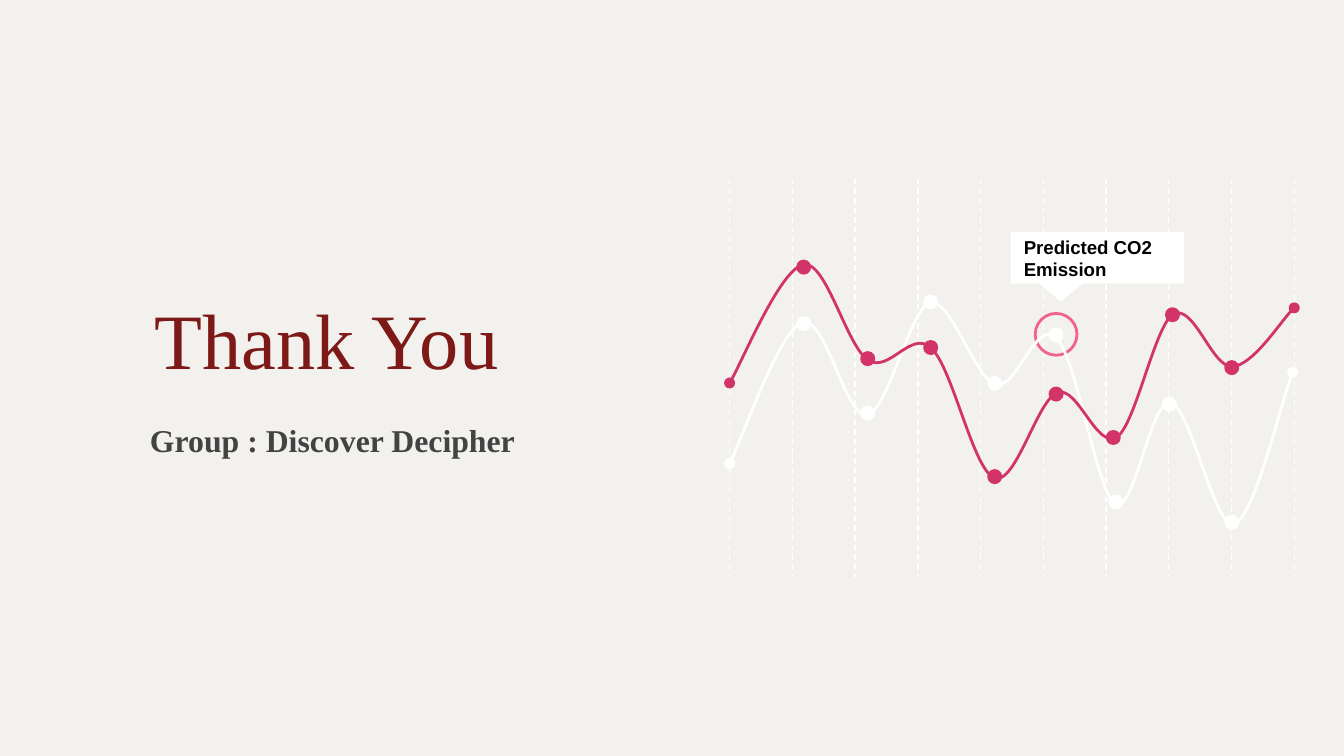
from dataclasses import dataclass

from lxml import etree
from pptx import Presentation
from pptx.dml.color import RGBColor
from pptx.enum import dml, shapes, text
from pptx.oxml import ns
from pptx.util import Cm, Pt


@dataclass(frozen=True)
class Theme:
    background: str = "F2F1EE"
    title: str = "7D1916"
    subtitle: str = "434343"
    white: str = "FFFFFF"
    black: str = "000000"
    red: str = "D23369"
    ring: str = "F06292"
    serif: str = "Times New Roman"
    sans: str = "Arial"
    title_size: int = 42
    subtitle_size: int = 17
    label_size: int = 10
    curve_width: float = 1.5
    grid_width: float = 0.75


THEME = Theme()
DOT = 0.23
GRID_LEFT, GRID_RIGHT, GRID_TOP, GRID_BOTTOM = 13.79, 24.46, 3.38, 10.9
GRID_COUNT = 10

# Curves are in cm: a start point, then two control points and an end per segment.
WHITE_CURVE = [
    (13.79, 8.76),
    (14.02, 8.33), (14.73, 6.25), (15.16, 6.1),
    (15.6, 5.94), (15.98, 7.9), (16.38, 7.85),
    (16.79, 7.77), (17.2, 5.82), (17.58, 5.72),
    (17.98, 5.64), (18.42, 7.16), (18.82, 7.26),
    (19.2, 7.39), (19.58, 6.02), (19.96, 6.38),
    (20.35, 6.76), (20.73, 9.32), (21.08, 9.53),
    (21.44, 9.73), (21.74, 7.54), (22.12, 7.62),
    (22.5, 7.67), (22.94, 9.98), (23.32, 9.91),
    (23.7, 9.8), (24.23, 7.52), (24.43, 7.04),
]
WHITE_DOTS = [(15.19, 6.12), (16.4, 7.81), (17.59, 5.71), (18.8, 7.25),
              (19.96, 6.33), (21.09, 9.49), (22.1, 7.64), (23.28, 9.87)]
RED_CURVE = [
    (13.79, 7.24),
    (14.02, 6.86), (14.76, 5.08), (15.19, 5.0),
    (15.62, 4.93), (16.0, 6.55), (16.41, 6.81),
    (16.81, 7.06), (17.22, 6.22), (17.6, 6.58),
    (18.01, 6.96), (18.39, 8.89), (18.8, 9.04),
    (19.2, 9.17), (19.61, 7.54), (19.99, 7.42),
    (20.37, 7.29), (20.73, 8.51), (21.11, 8.26),
    (21.46, 8.03), (21.82, 6.17), (22.17, 5.94),
    (22.56, 5.72), (22.91, 6.96), (23.29, 6.93),
    (23.67, 6.91), (24.26, 5.99), (24.46, 5.82),
]
RED_DOTS = [(15.19, 5.05), (16.4, 6.78), (17.59, 6.57), (18.8, 9.01),
            (19.96, 7.45), (21.04, 8.27), (22.16, 5.95), (23.28, 6.95)]


def rgb(color):
    return RGBColor.from_string(color)


def set_line(line, color, width):
    line.color.rgb = rgb(color)
    line.width = Pt(width)


def write(sp, words, font, size, color, anchor, align, bold=False):
    tf = sp.text_frame
    tf.text = words
    tf.word_wrap = True
    tf.auto_size = text.MSO_AUTO_SIZE.NONE
    tf.vertical_anchor = anchor
    tf.margin_left = tf.margin_right = tf.margin_top = tf.margin_bottom = Cm(0.25)
    p = tf.paragraphs[0]
    p.alignment = align
    p.line_spacing = 1.0
    p.space_before = Pt(0)
    p.font.name, p.font.size, p.font.bold = font, Pt(size), bold
    p.font.color.rgb = rgb(color)


def place(sp, left, top, width, height):
    sp.left, sp.top, sp.width, sp.height = Cm(left), Cm(top), Cm(width), Cm(height)


def add_grid(s):
    step = (GRID_RIGHT - GRID_LEFT) / (GRID_COUNT - 1)
    for i in range(GRID_COUNT):
        x = Cm(GRID_LEFT + i * step)
        line = s.shapes.add_connector(
            shapes.MSO_CONNECTOR.STRAIGHT, x, Cm(GRID_TOP), x, Cm(GRID_BOTTOM))
        set_line(line.line, THEME.white, THEME.grid_width)
        line.line.dash_style = dml.MSO_LINE.DASH
        etree.SubElement(line._element.spPr, ns.qn("a:effectLst"))


def add_circle(s, center, size, color, filled=True):
    x, y = center
    sp = s.shapes.add_shape(shapes.MSO_SHAPE.OVAL, Cm(x - size / 2),
                            Cm(y - size / 2), Cm(size), Cm(size))
    sp.shadow.inherit = False
    if filled:
        sp.fill.solid()
        sp.fill.fore_color.rgb = rgb(color)
    else:
        sp.fill.background()
    set_line(sp.line, color, THEME.curve_width)


def add_curve(s, points, color):
    """Draw Bezier segments with round ends, merging each three vertices into one."""
    vertices = [(Cm(x), Cm(y)) for x, y in points]
    builder = s.shapes.build_freeform(*vertices[0])
    builder.add_line_segments(vertices[1:], close=False)
    sp = builder.convert_to_shape()
    sp.shadow.inherit = False
    sp.fill.background()
    set_line(sp.line, color, THEME.curve_width)

    outline = sp._element.find(".//" + ns.qn("a:path"))
    segments = outline.findall(ns.qn("a:lnTo"))
    for i in range(0, len(segments), 3):
        bezier = etree.SubElement(outline, ns.qn("a:cubicBezTo"))
        for segment in segments[i:i + 3]:
            bezier.append(segment[0])
            outline.remove(segment)

    ln = sp._element.spPr.find(ns.qn("a:ln"))
    for end in ("a:headEnd", "a:tailEnd"):
        etree.SubElement(ln, ns.qn(end), type="oval")


def add_series(s, points, dots, color):
    add_curve(s, points, color)
    for center in dots:
        add_circle(s, center, DOT, color)


def add_callout(s, words):
    sp = s.shapes.add_shape(shapes.MSO_SHAPE.ROUNDED_RECTANGULAR_CALLOUT,
                            Cm(19.1), Cm(4.39), Cm(3.28), Cm(0.97))
    for i, value in enumerate((-0.21, 0.85, 0)):
        sp.adjustments[i] = value
    sp.shadow.inherit = False
    sp.fill.solid()
    sp.fill.fore_color.rgb = rgb(THEME.white)
    sp.line.fill.background()
    write(sp, words, THEME.sans, THEME.label_size, THEME.black,
          text.MSO_ANCHOR.MIDDLE, text.PP_ALIGN.LEFT, bold=True)


def add_headings(s):
    title, subtitle = s.placeholders
    place(title, 0.74, 3.2, 11.23, 4.34)
    write(title, "Thank You ", THEME.serif, THEME.title_size, THEME.title,
          text.MSO_ANCHOR.BOTTOM, text.PP_ALIGN.CENTER)
    place(subtitle, 0.74, 7.7, 11.23, 1.78)
    write(subtitle, "Group : Discover Decipher ", THEME.serif, THEME.subtitle_size,
          THEME.subtitle, text.MSO_ANCHOR.TOP, text.PP_ALIGN.CENTER, bold=True)


def main():
    prs = Presentation()
    prs.slide_width, prs.slide_height = Cm(25.4), Cm(14.29)
    s = prs.slides.add_slide(prs.slide_layouts[0])
    s.background.fill.solid()
    s.background.fill.fore_color.rgb = rgb(THEME.background)
    add_headings(s)
    add_grid(s)
    add_circle(s, (19.96, 6.32), 0.79, THEME.ring, filled=False)
    add_series(s, WHITE_CURVE, WHITE_DOTS, THEME.white)
    add_callout(s, "Predicted CO2 Emission")
    add_series(s, RED_CURVE, RED_DOTS, THEME.red)
    prs.save("out.pptx")


if __name__ == "__main__":
    main()
